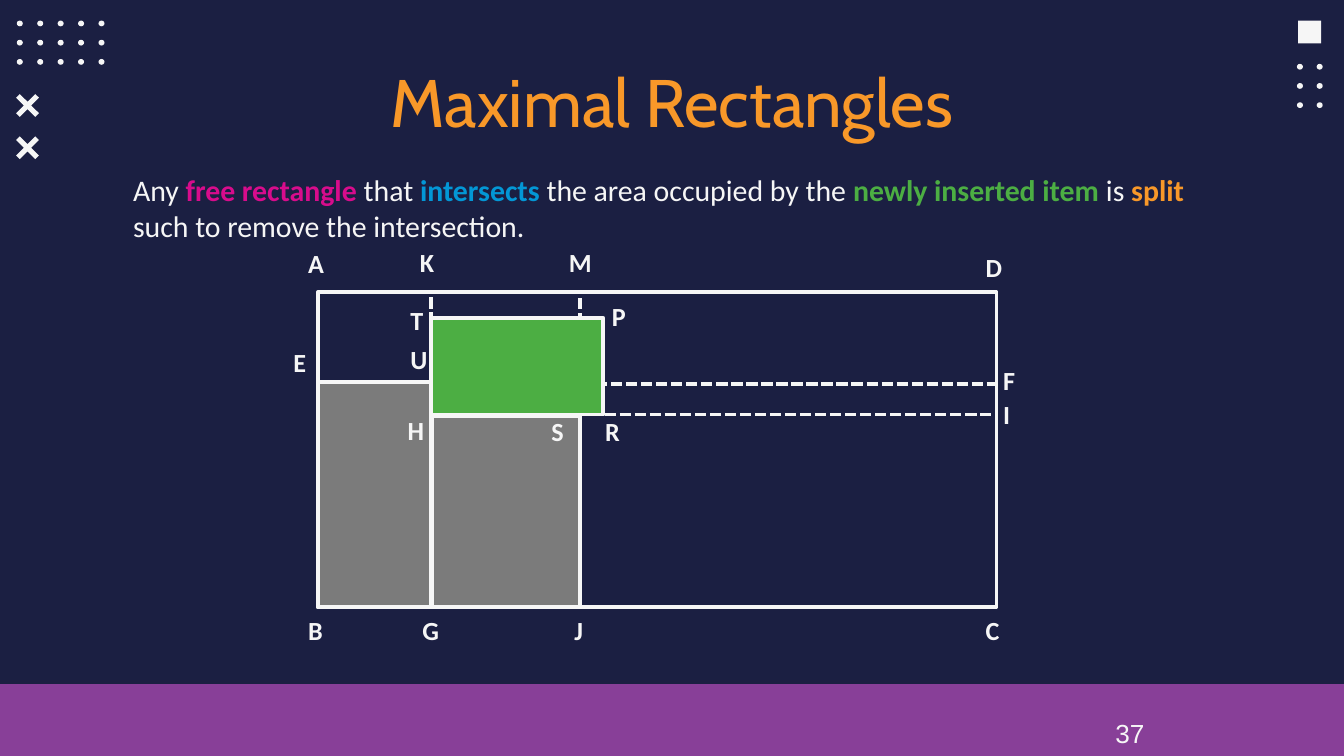
from itertools import product

from lxml import etree
from pptx import Presentation
from pptx.dml.color import RGBColor
from pptx.enum.dml import MSO_LINE
from pptx.enum.shapes import MSO_CONNECTOR, MSO_SHAPE
from pptx.enum.text import MSO_ANCHOR, MSO_AUTO_SIZE, PP_ALIGN
from pptx.oxml.ns import qn
from pptx.util import Inches, Pt

RECT, OVAL = MSO_SHAPE.RECTANGLE, MSO_SHAPE.OVAL
STRAIGHT, DASH = MSO_CONNECTOR.STRAIGHT, MSO_LINE.SQUARE_DOT
TOP, FIXED = MSO_ANCHOR.TOP, MSO_AUTO_SIZE.NONE
CENTER, JUSTIFY = PP_ALIGN.CENTER, PP_ALIGN.JUSTIFY

NAVY = RGBColor(0x1B, 0x1F, 0x42)
WHITE = RGBColor(0xF6, 0xF6, 0xF6)
PURPLE = RGBColor(0x88, 0x3F, 0x98)
ORANGE = RGBColor(0xF8, 0x98, 0x29)
PINK = RGBColor(0xD8, 0x0C, 0x8C)
BLUE = RGBColor(0x03, 0x97, 0xD6)
GREEN = RGBColor(0x4C, 0xAE, 0x43)
GRAY = RGBColor(0x7B, 0x7B, 0x7B)

WIDTH = Inches(10)
HEIGHT = WIDTH * 9 // 16


def u(n):
    """Length of n hundredths of the slide's width."""
    return round(n * WIDTH / 100)


def paint(shape, fill=None, line=None):
    shape.shadow.inherit = False
    if fill is None:
        shape.fill.background()
    else:
        shape.fill.solid()
        shape.fill.fore_color.rgb = fill
    if line is None:
        shape.line.fill.background()
    else:
        shape.line.color.rgb = line
        shape.line.width = Pt(2)


def block(shapes, kind, box, fill=None, line=None):
    paint(shapes.add_shape(kind, *map(u, box)), fill, line)


def write(par, text, size, font, color=WHITE, bold=False):
    run = par.add_run()
    run.text = text
    run.font.size, run.font.name = Pt(size), font
    run.font.color.rgb, run.font.bold = color, bold


def text_box(shapes, box, text, size, font, bold=False):
    frame = shapes.add_textbox(*map(u, box)).text_frame
    frame.word_wrap = True
    write(frame.paragraphs[0], text, size, font, bold=bold)


def place(holder, box):
    """Move a placeholder and return its first paragraph."""
    holder.left, holder.top, holder.width, holder.height = map(u, box)
    frame = holder.text_frame
    frame.word_wrap, frame.auto_size = True, FIXED
    frame.vertical_anchor = TOP
    par = frame.paragraphs[0]
    par.space_before = Pt(0)
    return par


def heading(holder, box):
    par = place(holder, box)
    par.alignment = CENTER
    frame = holder.text_frame
    frame.margin_top = frame.margin_bottom = u(1)
    write(par, "Maximal Rectangles", 36, "Cabin", ORANGE)


def rule(holder, box):
    """Sentence that states the splitting rule."""
    par = place(holder, box)
    par.alignment, par.space_after = JUSTIFY, Pt(8)
    props = par._p.get_or_add_pPr()
    props.set("marL", "0")
    props.set("indent", "0")
    etree.SubElement(props, qn("a:buNone"))
    for text, color in (
        ("Any ", WHITE), ("free rectangle ", PINK), ("that ", WHITE),
        ("intersects", BLUE), (" the area occupied by the ", WHITE),
        ("newly inserted item ", GREEN), ("is ", WHITE), ("split", ORANGE),
        (" such to remove the intersection.", WHITE),
    ):
        write(par, text, 16, "Calibri", color, color != WHITE)


def dots(shapes, left, top, cols, rows, step):
    group = shapes.add_group_shape().shapes
    for row, col in product(range(rows), range(cols)):
        spot = (left + col * step, top + row * 1.43, 0.45, 0.43)
        block(group, OVAL, spot, WHITE)


def cross(shapes, left, top, size):
    arm, mid = size * 0.16, size / 2
    far, notch = size - arm, mid - arm
    pts = [(arm, 0), (mid, notch), (far, 0), (size, arm),
           (mid + arm, mid), (size, far), (far, size), (mid, mid + arm),
           (arm, size), (0, far), (notch, mid), (0, arm)]
    pts = [(u(left + x), u(top + y)) for x, y in pts]
    build = shapes.build_freeform(*pts[0])
    build.add_line_segments(pts[1:], close=True)
    paint(build.convert_to_shape(), WHITE)


def corners(shapes):
    dots(shapes, 1.25, 1.53, 5, 3, 1.52)
    dots(shapes, 96.5, 4.75, 2, 3, 1.47)
    for top in (7, 10.15):
        cross(shapes, 1.2, top, 1.7)
    block(shapes, RECT, (96.6, 1.53, 1.7, 1.7), WHITE)


def footer(shapes, box):
    left, top, _, _ = box
    block(shapes, RECT, box, PURPLE)
    text_box(shapes, (left + 82, top + 2, 17.2, 3.4), "37", 14, "Arial")


def packing(shapes, box):
    """Bin with two placed items, the new item and the split lines."""
    left, top, wide, high = box
    group = shapes.add_group_shape().shapes
    k, m, p = 8.4, 19.5, 21.25
    t, e, h = 1.9, 6.8, 9.1

    def cell(x1, y1, x2, y2, fill=None):
        area = (left + x1, top + y1, x2 - x1, y2 - y1)
        block(group, RECT, area, fill, WHITE)

    def dash(x1, y1, x2, y2):
        ends = (left + x1, top + y1, left + x2, top + y2)
        line = group.add_connector(STRAIGHT, *map(u, ends))
        line.line.color.rgb, line.line.width = WHITE, Pt(2)
        line.line.dash_style = DASH
        etree.SubElement(line._element.spPr, qn("a:effectLst"))

    dash(k, e, wide, e)
    dash(k, e, k, 0)
    dash(m, 11.3, m, 0)
    cell(0, 0, wide, high)
    cell(0, e, k, high)
    cell(k, 11.3, m, high)
    dash(m - 0.4, h, wide - 0.4, h)
    cell(k, t, p, h, GREEN)
    cell(0, e - 0.1, k, high, GRAY)
    cell(k + 0.1, h + 0.1, m, high, GRAY)

    base = high + 0.1
    for name, x, y in (
        ("A", -1.7, -3.8), ("K", 6.6, -3.9), ("M", 17.7, -3.9),
        ("D", 48.7, -3.5), ("T", 5.9, 0.4), ("U", 5.9, 3.3),
        ("P", 20.9, 0.1), ("E", -2.8, 3.5), ("F", 50, 4.9),
        ("I", 50, 7.4), ("H", 5.7, 8.6), ("S", 16.4, 8.7),
        ("R", 20.4, 8.7), ("B", -1.7, base), ("G", 6.8, base),
        ("J", 18.1, base), ("C", 48.7, base),
    ):
        spot = (left + x, top + y, 3.4, 3.4)
        text_box(group, spot, name, 14, "Calibri", True)


def main():
    deck = Presentation()
    deck.slide_width, deck.slide_height = WIDTH, HEIGHT
    slide = deck.slides.add_slide(deck.slide_layouts[1])
    slide.background.fill.solid()
    slide.background.fill.fore_color.rgb = NAVY
    title, body = slide.placeholders
    corners(slide.shapes)
    footer(slide.shapes, (0, 50.9, 100, 5.35))
    heading(title, (7.8, 3.5, 84.4, 6.3))
    rule(body, (8.9, 12.3, 80.2, 6.4))
    packing(slide.shapes, (23.65, 21.75, 50.5, 23.4))
    deck.save("out.pptx")


if __name__ == "__main__":
    main()
